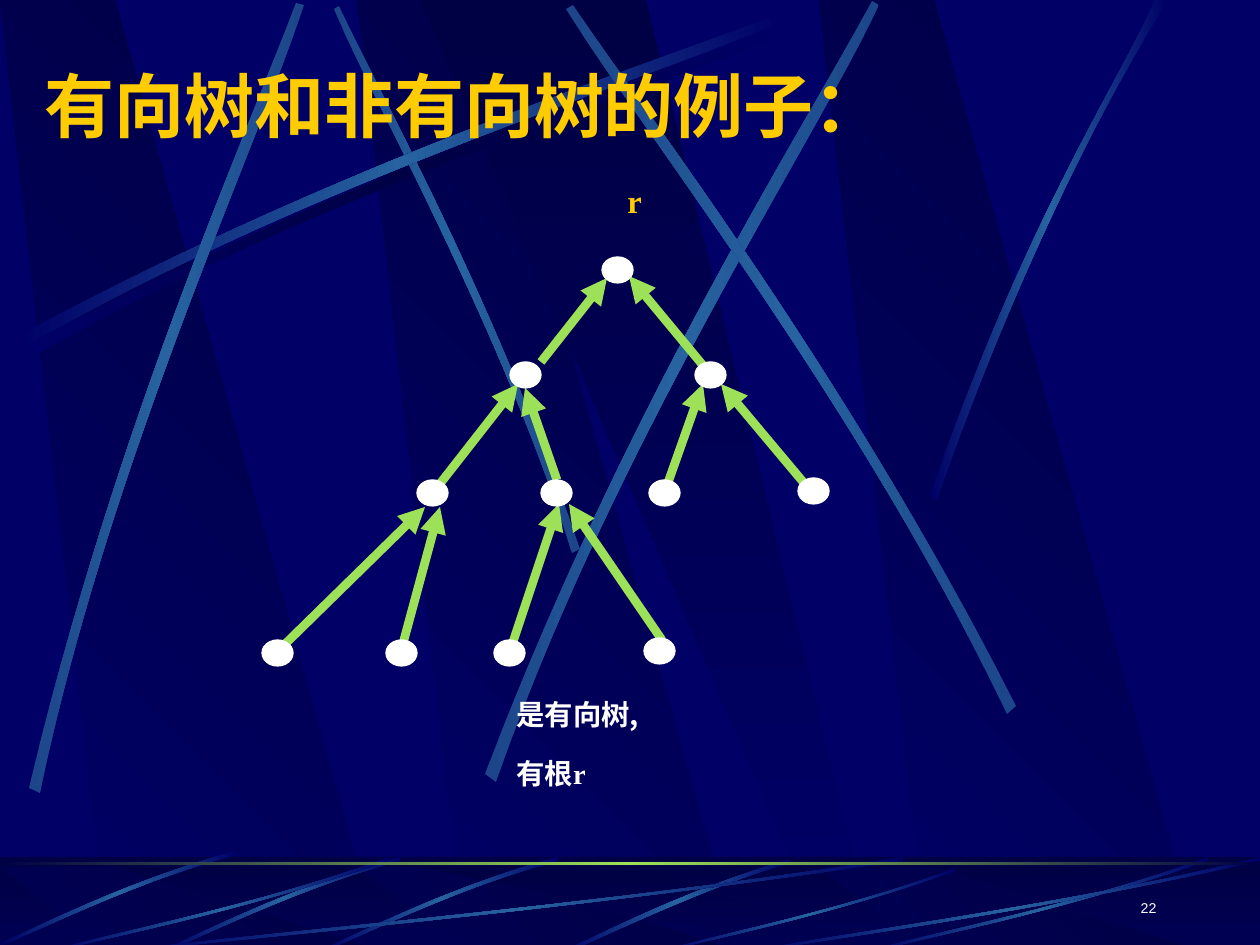
from dataclasses import dataclass

from lxml import etree
from pptx import Presentation
from pptx import util as u
from pptx.dml.color import RGBColor
from pptx.enum import shapes, text
from pptx.oxml.ns import qn

PX = u.Inches(1) / 126
WIDTH, HEIGHT = 1260, 945
COLORS = {
    "navy": "000066", "night": "000044", "streak": "2663A0", "dim": "1C4689",
    "green": "9CE157", "gold": "FFCC00", "white": "FFFFFF",
}
CJK, SERIF, SANS = "Noto Sans CJK SC", "Times New Roman", "Arial"


@dataclass(frozen=True)
class Streak:
    """Two cubic edges, four control points each, and the colour of the ends."""
    points: tuple
    ends: str = "navy"

    def moved(self, dx: int, dy: int) -> "Streak":
        return Streak(tuple((x + dx, y + dy) for x, y in self.points), self.ends)


@dataclass(frozen=True)
class Edge:
    child: tuple
    parent: tuple


# Background streaks
LONG = Streak(((18, 336), (350, 158), (653, 64), (781, 13),
               (785, 20), (658, 77), (312, 180), (21, 349)))
WALL_STREAKS = [
    Streak(((580, 549), (493, 295), (381, 97), (339, 6),
            (334, 9), (372, 100), (501, 325), (572, 553)), "dim"),
    LONG,
    Streak(((29, 788), (117, 421), (248, 132), (296, 3),
            (304, 5), (261, 137), (108, 464), (40, 793)), "dim"),
    Streak(((485, 774), (627, 403), (804, 129), (872, 1),
            (879, 5), (818, 136), (612, 447), (496, 782)), "dim"),
    Streak(((1016, 706), (844, 369), (650, 120), (573, 5),
            (566, 9), (639, 127), (863, 410), (1007, 714)), "dim"),
    Streak(((930, 496), (1026, 218), (1119, 83), (1155, 0),
            (1168, 0), (1053, 183), (969, 406), (937, 500))),
]
STEEP = Streak(((557, 857), (447, 888), (362, 932), (323, 949),
                (324, 951), (363, 936), (460, 886), (559, 861)))
FLOOR_STREAKS = [
    Streak(((790, 859), (677, 893), (601, 935), (564, 950),
            (571, 951), (617, 930), (719, 882), (791, 863))),
    STEEP, STEEP.moved(-158, 0), STEEP.moved(-322, -6),
]
# Flat floor streaks share one outline, stretched to left, top, width, height
SWEEP = ((1, .04), (.57, .57), (.17, .85), (.01, 1),
         (0, .99), (.17, .81), (.62, .51), (1, 0))
SWEEP_FRAMES = [(126, 857, 777, 94), (53, 857, 336, 94), (664, 868, 291, 83),
                (872, 857, 336, 94), (756, 857, 504, 94)]

# Tree: top left corner of each node, and arrows from child to parent
NODE_W, NODE_H = 31, 26
NODES = [(602, 257), (510, 362), (695, 362), (417, 480), (649, 480), (541, 480),
         (798, 478), (262, 640), (494, 640), (386, 640), (644, 638)]
EDGES = [
    Edge((541, 362), (607, 278)), Edge((711, 375), (629, 276)),
    Edge((432, 494), (518, 384)), Edge((557, 480), (525, 388)),
    Edge((804, 483), (721, 384)), Edge((664, 494), (703, 384)),
    Edge((278, 651), (425, 507)), Edge((401, 651), (440, 507)),
    Edge((510, 651), (559, 504)), Edge((662, 640), (569, 504)),
]


def px(value: float) -> int:
    return round(value * PX)


def rgb(name: str) -> RGBColor:
    return RGBColor.from_string(COLORS[name])


def paint_gradient(shape, names: tuple, angle: int = 0) -> None:
    """Spread the named colours evenly; angle runs clockwise."""
    shape.shadow.inherit = False
    shape.line.fill.background()
    shape.fill.gradient()
    shape.fill.gradient_angle = (360 - angle) % 360
    stops = shape._element.spPr.find(qn("a:gradFill")).find(qn("a:gsLst"))
    for stop in list(stops):
        stops.remove(stop)
    for i, name in enumerate(names):
        stop = etree.SubElement(stops, qn("a:gs"), pos=str(100000 * i // (len(names) - 1)))
        etree.SubElement(stop, qn("a:srgbClr"), val=COLORS[name])


def draw_outline(slide, points: list, names: tuple, angle: int = 0):
    start, *rest = [(px(x), px(y)) for x, y in points]
    builder = slide.shapes.build_freeform(*start, scale=1.0)
    builder.add_line_segments(rest, close=True)
    outline = builder.convert_to_shape()
    paint_gradient(outline, names, angle)
    return outline


def draw_streak(slide, streak: Streak, middle: str = "streak") -> None:
    outline = draw_outline(slide, streak.points, (streak.ends, middle, streak.ends))
    # Turn the three segments of each long edge into one curve
    sides = list(outline._element.iter(qn("a:lnTo")))
    for first, *others in (sides[:3], sides[4:]):
        first.tag = qn("a:cubicBezTo")
        for side in others:
            first.append(side[0])
            side.getparent().remove(side)


def draw_bands(slide, top: int, bottom: int) -> None:
    for left in (357, 0, 819):
        draw_outline(slide, [(left + 108, bottom), (left + 381, bottom),
                             (left + 115, top), (left, top)], ("navy", "night"), 315)
    draw_outline(slide, [(420, top), (829, bottom), (874, bottom), (646, top)],
                 ("night", "navy"), 90)


def add_bar(slide, top: int, height: int):
    bar = slide.shapes.add_shape(shapes.MSO_SHAPE.RECTANGLE, 0, px(top), px(WIDTH), px(height))
    bar.shadow.inherit = False
    bar.line.fill.background()
    return bar


def move_to_master(slide, master) -> None:
    """Put the finished decoration behind the placeholders of the master."""
    decoration = [s for s in slide.shapes if not s.is_placeholder]
    for i, shape in enumerate(decoration):
        shape._element.nvSpPr.cNvPr.set("id", str(100 + i))
        master.shapes._spTree.insert(2 + i, shape._element)


def draw_edge(slide, edge: Edge) -> None:
    arrow = slide.shapes.add_connector(shapes.MSO_CONNECTOR.STRAIGHT,
                                       *map(px, edge.child + edge.parent))
    arrow.line.color.rgb = rgb("green")
    arrow.line.width = u.Pt(5)
    etree.SubElement(arrow.line._get_or_add_ln(), qn("a:tailEnd"), type="triangle")
    etree.SubElement(arrow._element.spPr, qn("a:effectLst"))


def draw_node(slide, corner: tuple) -> None:
    node = slide.shapes.add_shape(shapes.MSO_SHAPE.OVAL, *map(px, corner + (NODE_W, NODE_H)))
    node.shadow.inherit = False
    node.fill.solid()
    node.fill.fore_color.rgb = rgb("white")
    node.line.color.rgb = rgb("white")
    node.line.width = u.Pt(0.75)


def format_run(run, size: int, color: str, font: str, bold=True, raised=True) -> None:
    run.font.size, run.font.bold, run.font.name = u.Pt(size), bold, font
    run.font.color.rgb = rgb(color)
    properties = run._r.get_or_add_rPr()
    etree.SubElement(properties, qn("a:ea"), typeface=CJK)
    if raised:
        properties.set("baseline", "30000")


def add_text(slide, frame: tuple, wrap: bool = True):
    box = slide.shapes.add_textbox(*map(px, frame))
    box.text_frame.word_wrap = wrap
    return box.text_frame


def main() -> None:
    prs = Presentation()
    prs.slide_width, prs.slide_height = px(WIDTH), px(HEIGHT)
    slide = prs.slides.add_slide(prs.slide_layouts[5])
    slide.background.fill.solid()
    slide.background.fill.fore_color.rgb = rgb("navy")

    # Wall
    draw_bands(slide, 0, 947)
    draw_streak(slide, LONG.moved(8, 10), "night")
    for streak in WALL_STREAKS:
        draw_streak(slide, streak)

    # Floor
    paint_gradient(add_bar(slide, 857, 94), ("night", "navy"), 90)
    draw_bands(slide, 867, 951)
    veil = add_bar(slide, 857, 94)
    veil.fill.solid()
    veil.fill.fore_color.rgb = rgb("night")
    tint = veil._element.spPr.find(qn("a:solidFill"))[0]
    etree.SubElement(tint, qn("a:alpha"), val="50000")
    sweeps = [Streak(tuple((x + w * fx, y + h * fy) for fx, fy in SWEEP))
              for x, y, w, h in SWEEP_FRAMES]
    for streak in FLOOR_STREAKS + sweeps:
        draw_streak(slide, streak)
    paint_gradient(add_bar(slide, 862, 3), ("night", "green", "night"))
    move_to_master(slide, prs.slide_master)

    # Title
    title = slide.shapes.title
    title.left, title.top, title.width, title.height = map(px, (32, 56, 1071, 97))
    title.text_frame.text = "有向树和非有向树的例子："
    title.text_frame.vertical_anchor = text.MSO_ANCHOR.MIDDLE
    heading = title.text_frame.paragraphs[0]
    heading.alignment = text.PP_ALIGN.LEFT
    format_run(heading.runs[0], 40, "gold", SERIF, raised=False)

    # Tree
    for edge in EDGES:
        draw_edge(slide, edge)
    for corner in NODES:
        draw_node(slide, corner)
    root = add_text(slide, (615, 168, 50, 79), wrap=False)
    root.text = "r"
    format_run(root.paragraphs[0].runs[0], 32, "gold", SERIF)

    # Caption
    caption = add_text(slide, (504, 685, 262, 131))
    caption.text = "是有向树,\n有根"
    verdict, rooted = caption.paragraphs
    rooted.add_run().text = "r"
    for run, font in zip(verdict.runs + rooted.runs, (CJK, CJK, SERIF)):
        format_run(run, 28, "white", font)

    # Page number
    page = add_text(slide, (907, 869, 262, 63))
    page.text = "22"
    page.vertical_anchor = text.MSO_ANCHOR.BOTTOM
    page.paragraphs[0].alignment = text.PP_ALIGN.RIGHT
    format_run(page.paragraphs[0].runs[0], 14, "white", SANS, bold=False)

    prs.save("out.pptx")


if __name__ == "__main__":
    main()
